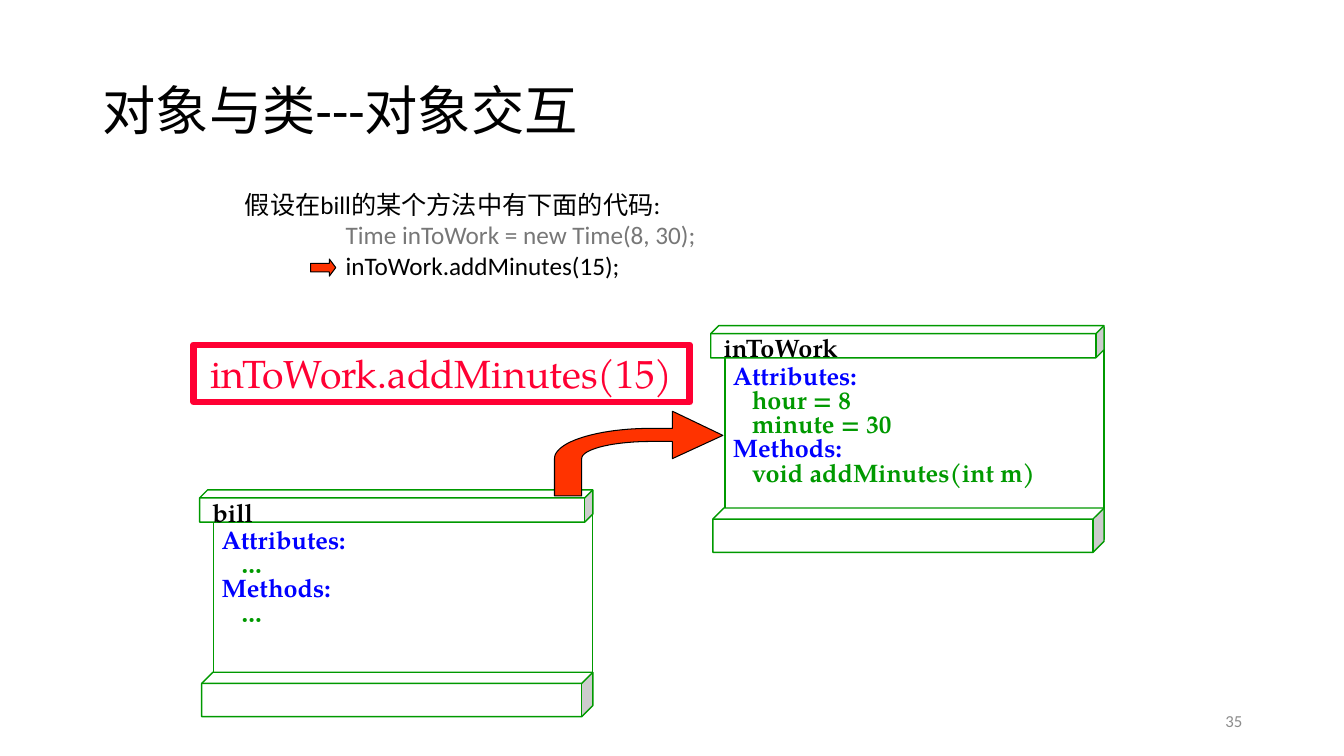
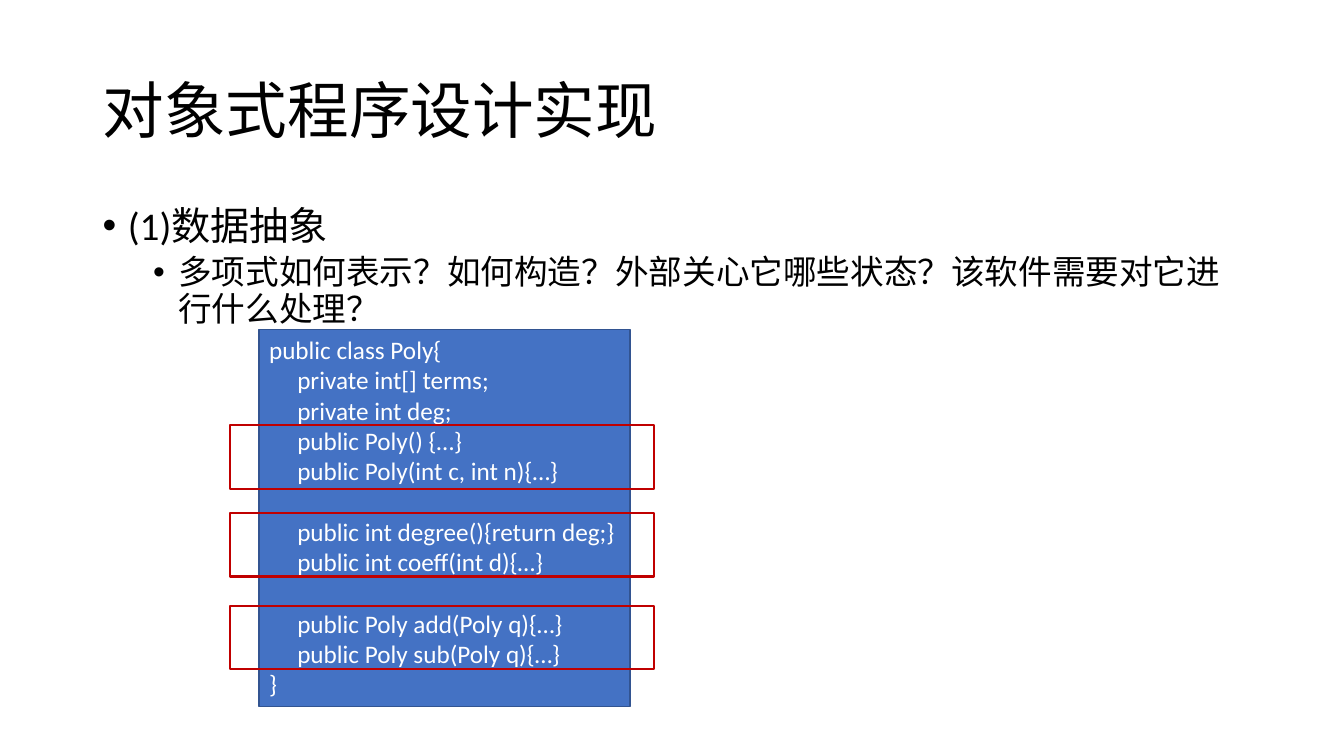
from dataclasses import dataclass
from math import cos, pi, sin

from lxml.etree import SubElement
from pptx import Presentation
from pptx.dml.color import RGBColor
from pptx.enum.shapes import MSO_SHAPE as Kind
from pptx.enum.text import MSO_ANCHOR as Anchor, PP_ALIGN as Align
from pptx.oxml.ns import qn
from pptx.util import Emu, Pt

# Scale: 100 px to the inch
PX = 9144
Box = tuple[int, int, int, int]

# Shared colours and fonts
BLACK = RGBColor(0x00, 0x00, 0x00)
WHITE = RGBColor(0xFF, 0xFF, 0xFF)
GRAY = RGBColor(0x77, 0x77, 0x77)
PALE = RGBColor(0x8C, 0x8C, 0x8C)
GREEN = RGBColor(0x00, 0x99, 0x00)
BLUE = RGBColor(0x00, 0x00, 0xFF)
PINK = RGBColor(0xFF, 0x00, 0x33)
ORANGE = RGBColor(0xFF, 0x33, 0x00)
PANEL = RGBColor(0x44, 0x72, 0xC4)
EDGE = RGBColor(0x32, 0x54, 0x91)
RED = RGBColor(0xC0, 0x00, 0x00)
SANS = "Calibri"
SERIF = "TeX Gyre Pagella"


@dataclass
class Line:
    text: str
    color: RGBColor | None = None
    size: int | None = None
    indent: int = 0
    before: int = 0
    bullet: bool = False


@dataclass
class Object:
    name: str
    left: int
    top: int
    attrs: list[str]
    methods: list[str]


def write(shape, lines: list[Line], *, size: int = 18, font: str = SANS,
          color: RGBColor = BLACK, bold: bool = False, align=Align.LEFT,
          anchor=Anchor.TOP, space: float = 1.0) -> None:
    frame = shape.text_frame
    frame.word_wrap = True
    frame.vertical_anchor = anchor
    for i, line in enumerate(lines):
        para = frame.add_paragraph() if i else frame.paragraphs[0]
        para.alignment = align
        para.line_spacing = space
        para.space_before = Pt(line.before)
        props = para._p.get_or_add_pPr()
        props.set("marL", str(line.indent * PX))
        props.set("indent", str(-25 * PX if line.bullet else 0))
        if line.bullet:
            SubElement(props, qn("a:buFont"), typeface="Arial")
            SubElement(props, qn("a:buChar"), char="•")
        run = para.add_run()
        run.text = line.text
        run.font.name = font
        run.font.size = Pt(line.size or size)
        run.font.bold = bold
        run.font.color.rgb = line.color or color


def paint(shape, fill: RGBColor | None, line: RGBColor, width: float) -> None:
    shape.shadow.inherit = False
    if fill is None:
        shape.fill.background()
    else:
        shape.fill.solid()
        shape.fill.fore_color.rgb = fill
    shape.line.color.rgb = line
    shape.line.width = Pt(width)


def draw(slide, kind, box: Box, fill: RGBColor | None, line: RGBColor,
         width: float = 1):
    shape = slide.shapes.add_shape(kind, *(Emu(v * PX) for v in box))
    paint(shape, fill, line, width)
    return shape


def label(slide, box: Box, lines: list[Line], **style) -> None:
    write(slide.shapes.add_textbox(*(Emu(v * PX) for v in box)), lines, **style)


def start(deck, title: str, size: int):
    slide = deck.slides.add_slide(deck.slide_layouts[6])
    label(slide, (92, 40, 1150, 145), [Line(title)], size=size,
          anchor=Anchor.MIDDLE, space=0.9)
    return slide


def scroll(slide, item: Object) -> None:
    """An object: a sheet between two bars, with its name and members."""
    x, y = item.left, item.top
    draw(slide, Kind.RECTANGLE, (x + 14, y + 2, 376, 210), WHITE, GREEN)
    for box in ((x, y, 390, 32), (x + 2, y + 181, 388, 44)):
        draw(slide, Kind.CUBE, box, WHITE, GREEN).adjustments[0] = 0.25
    label(slide, (x + 3, y + 2, 300, 40), [Line(item.name)], font=SERIF, bold=True)
    lines = []
    for head, parts in (("Attributes:", item.attrs), ("Methods:", item.methods)):
        lines.append(Line(head, BLUE))
        lines += [Line(part, GREEN, indent=19) for part in parts]
    label(slide, (x + 12, y + 35, 361, 131), lines, font=SERIF, bold=True, space=0.8)


def bend(slide) -> None:
    """The curved arrow from bill to inToWork."""
    def arc(wide: int, high: int) -> list[tuple[float, float]]:
        turns = [pi / 2 * i / 24 for i in range(25)]
        return [(646 - wide * sin(t), 455 - high * cos(t)) for t in turns]

    tip, *rest = [(717, 432), (667, 408), (667, 425), *arc(96, 30),
                  (550, 492), (577, 492), *reversed(arc(69, 17)),
                  (667, 438), (667, 455)]
    path = slide.shapes.build_freeform(tip[0] * PX, tip[1] * PX, scale=1.0)
    path.add_line_segments([(x * PX, y * PX) for x, y in rest], close=True)
    paint(path.convert_to_shape(), ORANGE, BLACK, 0.75)


def calls(deck) -> None:
    slide = start(deck, "对象与类---对象交互", 38)
    label(slide, (942, 695, 300, 40), [Line("35")], size=12, color=PALE,
          align=Align.RIGHT, anchor=Anchor.MIDDLE)

    # Objects and the message between them
    scroll(slide, Object("inToWork", 705, 323, ["hour = 8", "minute = 30"],
                         ["void addMinutes(int m)"]))
    call = draw(slide, Kind.RECTANGLE, (192, 342, 492, 57), None, PINK, 4.5)
    write(call, [Line("inToWork.addMinutes(15)")], size=28, font=SERIF,
          color=PINK, align=Align.CENTER)
    scroll(slide, Object("bill", 198, 486, ["…"], ["…"]))
    bend(slide)

    # Code with its current line marked
    label(slide, (233, 183, 692, 100), [
        Line("假设在bill的某个方法中有下面的代码:"),
        Line("Time inToWork = new Time(8, 30);", GRAY, indent=100),
        Line("inToWork.addMinutes(15);", indent=100),
    ])
    mark = draw(slide, Kind.RIGHT_ARROW, (308, 257, 25, 17), ORANGE, BLACK, 0.75)
    mark.adjustments[0] = 0.5
    mark.adjustments[1] = 0.375


def data(deck) -> None:
    slide = start(deck, "对象式程序设计实现", 44)
    label(slide, (92, 200, 1150, 476), [
        Line("(1)数据抽象", size=28, indent=25, before=10, bullet=True),
        Line("多项式如何表示？如何构造？外部关心它哪些状态？该软件需要对它进行什么处理？",
             size=24, indent=75, before=5, bullet=True),
    ], space=0.9)

    # Class code, one line of space between groups
    groups = [
        ["private int[] terms;", "private int deg;",
         "public Poly() {…}", "public Poly(int c, int n){…}"],
        ["public int degree(){return deg;}", "public int coeff(int d){…}"],
        ["public Poly add(Poly q){…}", "public Poly sub(Poly q){…}"],
    ]
    code = [Line("public class Poly{")]
    for n, group in enumerate(groups):
        code += [Line(text, indent=28, before=22 if n and not i else 0)
                 for i, text in enumerate(group)]
    code.append(Line("}"))
    panel = draw(slide, Kind.RECTANGLE, (257, 327, 368, 374), PANEL, EDGE)
    write(panel, code, color=WHITE)

    # Frames around the method pairs
    for top in (422, 509, 601):
        draw(slide, Kind.RECTANGLE, (228, top, 421, 63), None, RED, 1.5)


def main() -> None:
    deck = Presentation()
    deck.slide_width = Emu(1333 * PX)
    deck.slide_height = Emu(750 * PX)
    calls(deck)
    data(deck)
    deck.save("out.pptx")


if __name__ == "__main__":
    main()
